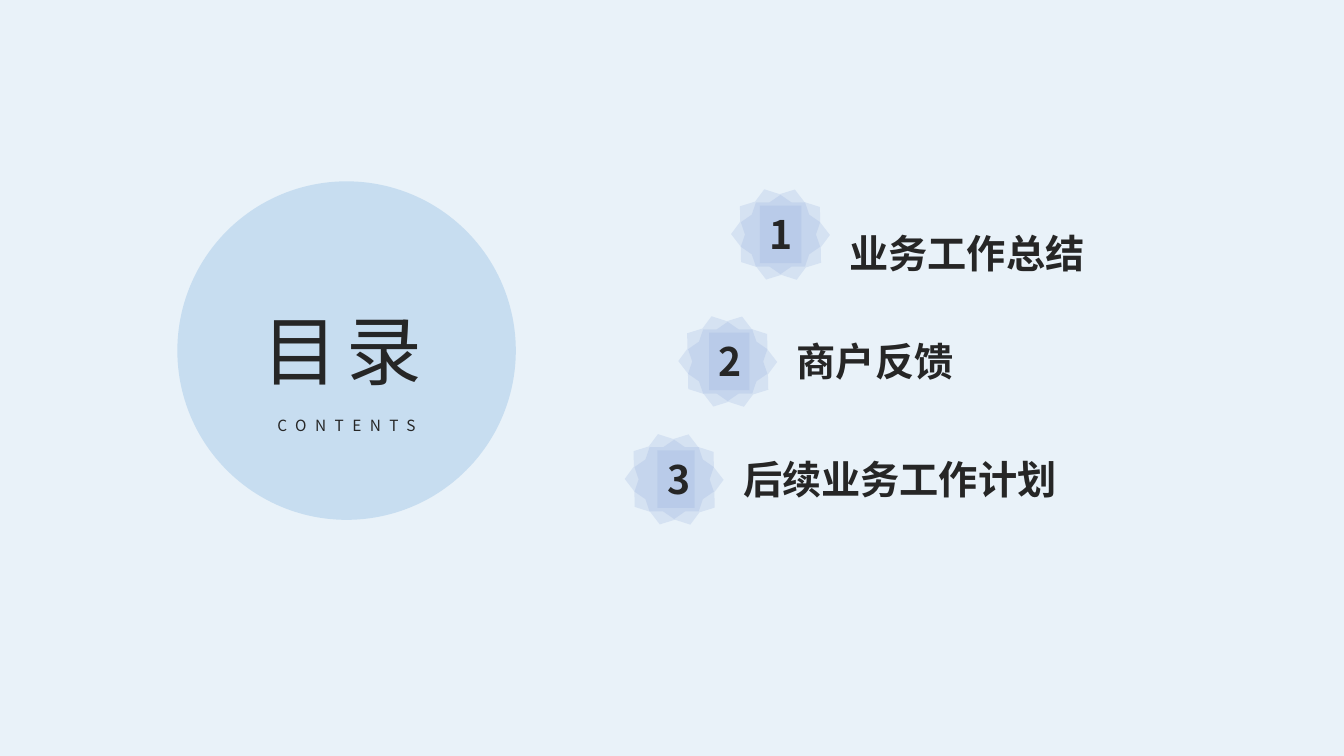
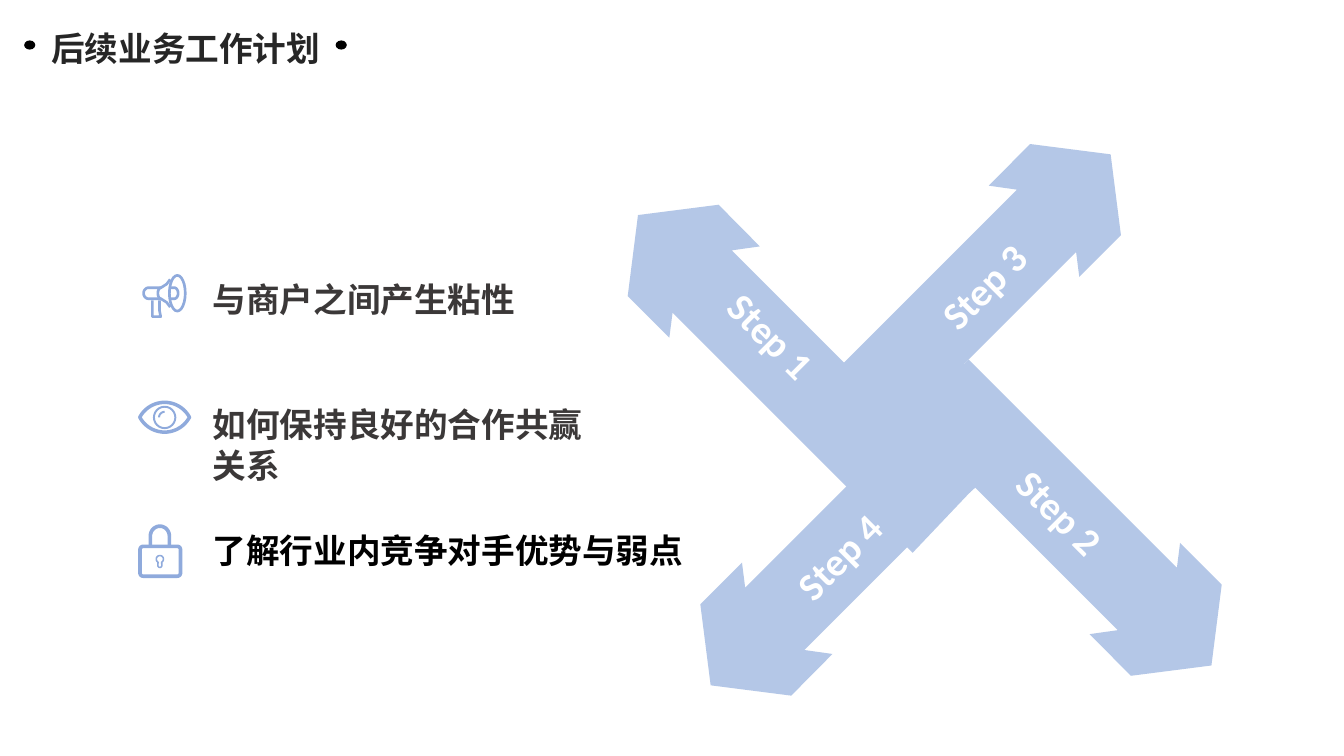
"""Build a contents slide and a four-step work plan slide."""
import math
from dataclasses import dataclass
from typing import NamedTuple

from lxml import etree
from pptx import Presentation
from pptx import util as u
from pptx.dml.color import RGBColor
from pptx.enum import shapes, text
from pptx.oxml.ns import qn

SKY = RGBColor(0x5B, 0x9B, 0xD5)
PERIWINKLE = RGBColor(0x8F, 0xAA, 0xDC)
ARROW_BLUE = RGBColor(0xB4, 0xC7, 0xE7)
INK = RGBColor(0x26, 0x26, 0x26)
BODY_INK = RGBColor(0x3B, 0x38, 0x38)
BLACK = RGBColor(0, 0, 0)
WHITE = RGBColor(0xFF, 0xFF, 0xFF)
CJK_FONT = "Noto Sans CJK SC"
LATIN_FONT = "Calibri"
SLIDE_WIDTH, SLIDE_HEIGHT = 33.87, 19.05
STAR_SIZE, INNER_STAR_SIZE = 2.38, 2.0
LEFT, CENTER, RIGHT = text.PP_ALIGN.LEFT, text.PP_ALIGN.CENTER, text.PP_ALIGN.RIGHT

Point = tuple[float, float]


class Box(NamedTuple):
    left: float
    top: float
    width: float
    height: float


@dataclass(frozen=True)
class TextStyle:
    size: float
    color: RGBColor = INK
    bold: bool = True
    font: str = CJK_FONT
    align: text.PP_ALIGN = LEFT
    tracking: int = 0
    leading: float = 1.2


@dataclass(frozen=True)
class Entry:
    title: str
    left: float
    top: float
    number_left: float
    number_width: float
    title_drop: float


@dataclass(frozen=True)
class Step:
    label: str
    corner: Point
    flip: tuple[int, int]
    shaft: float
    label_at: Point


class Stroke(NamedTuple):
    points: list[Point]
    width: float
    closed: bool = False


class Task(NamedTuple):
    title: str
    box: Box
    color: RGBColor = BODY_INK
    wrap: bool = True


HEADING = TextStyle(28)
ENTRIES = [
    Entry("业务工作总结", 18.48, 4.72, 0.67, 1.05, 0.94),
    Entry("商户反馈", 17.15, 7.92, 0.72, 1.02, 0.46),
    Entry("后续业务工作计划", 15.8, 10.89, 0.77, 0.94, 0.46),
]
STEPS = [
    Step("Step 1", (16.08, 5.42), (1, 1), 6.05, (15.57, 6.76)),
    Step("Step 2", (30.53, 16.77), (-1, -1), 5.25, (24.79, 13.16)),
    Step("Step 3", (27.99, 3.89), (-1, 1), 4.46, (22.86, 5.51)),
    Step("Step 4", (17.91, 17.27), (1, -1), 4.28, (17.27, 14.27)),
]
HUB_TILES = [
    [(21.59, 8.86), (23.11, 10.41), (21.54, 12.17), (19.96, 10.57)],
    [(21.31, 9.25), (23.16, 11.05), (24.66, 9.53), (22.81, 7.77)],
    [(24.43, 12.42), (22.91, 10.9), (24.5, 9.22), (26.19, 10.87)],
]
TASKS = [
    Task("与商户之间产生粘性", Box(5.11, 6.91, 9.98, 1.35)),
    Task("如何保持良好的合作共赢关系", Box(5.11, 10.06, 9.98, 2.36)),
    Task("了解行业内竞争对手优势与弱点", Box(5.11, 13.22, 12.37, 1.35), BLACK, False),
]


def arc(center: Point, radii: Point, start: float, end: float) -> list[Point]:
    """Sample an elliptical arc between two angles in degrees."""
    angles = [math.radians(start + (end - start) * i / 24) for i in range(25)]
    return [(center[0] + radii[0] * math.cos(a), center[1] + radii[1] * math.sin(a))
            for a in angles]


def rounded(box: Box, radius: float) -> list[Point]:
    """Sample the outline of a rounded rectangle."""
    left, top = box.left + radius, box.top + radius
    right, bottom = box.left + box.width - radius, box.top + box.height - radius
    centers = [(left, top), (right, top), (right, bottom), (left, bottom)]
    return [point for i, center in enumerate(centers)
            for point in arc(center, (radius, radius), 180 + 90 * i, 270 + 90 * i)]


MEGAPHONE = [
    Stroke(arc((4.47, 7.39), (0.2, 0.45), 0, 360), 1.9, True),
    Stroke([(4.29, 7.04), (4.2, 7.16), (4.06, 7.25),
            *arc((3.75, 7.39), (0.13, 0.14), 270, 90),
            (4.06, 7.53), (4.2, 7.62), (4.29, 7.74)], 1.9),
    Stroke(arc((4.06, 7.39), (0.08, 0.14), 270, 90), 1.9),
    Stroke([(4.29, 7.25), *arc((4.39, 7.39), (0.1, 0.14), -90, 90), (4.29, 7.53)], 1.9),
    Stroke([(3.84, 7.57), (3.84, 7.98), (4.05, 7.98), (4.02, 7.82), (4.02, 7.57)], 1.9),
]
EYE = [
    Stroke(arc((4.15, 10.85), (0.71, 0.71), 208, 332)
           + arc((4.15, 10.18), (0.71, 0.71), 28, 152), 2.5, True),
    Stroke(arc((4.15, 10.52), (0.27, 0.27), 0, 360), 1.4, True),
    Stroke(arc((4.15, 10.52), (0.14, 0.14), 180, 270), 1.4),
]
LOCK = [
    Stroke(rounded(Box(3.53, 13.77, 1.02, 0.75), 0.08), 2.6, True),
    Stroke([(3.79, 13.77), *arc((4.03, 13.51), (0.24, 0.25), 180, 360), (4.27, 13.77)], 2.6),
    Stroke(arc((4.03, 14.09), (0.09, 0.09), 120, 420)
           + arc((4.03, 14.25), (0.05, 0.05), 0, 180), 1.1, True),
]


def place(box: Box) -> tuple[u.Length, ...]:
    """Convert a box in centimetres to slide lengths."""
    return tuple(u.Cm(value) for value in box)


def paint(shape, color: RGBColor, opacity: int = 100) -> None:
    """Give a shape a flat fill without line or shadow."""
    shape.shadow.inherit = False
    shape.fill.solid()
    shape.fill.fore_color.rgb = color
    shape.line.fill.background()
    if opacity < 100:
        rgb = shape.element.spPr.find(qn("a:solidFill"))[0]
        etree.SubElement(rgb, qn("a:alpha"), val=str(opacity * 1000))


def add_preset(slide, kind: shapes.MSO_SHAPE, box: Box, color: RGBColor, opacity: int = 100):
    """Add a flat preset shape."""
    shape = slide.shapes.add_shape(kind, *place(box))
    paint(shape, color, opacity)
    return shape


def add_outline(slide, points: list[Point], closed: bool):
    """Add a freeform through points given in centimetres."""
    start, *rest = [(u.Cm(x), u.Cm(y)) for x, y in points]
    builder = slide.shapes.build_freeform(*start, scale=1.0)
    builder.add_line_segments(rest, close=closed)
    shape = builder.convert_to_shape()
    shape.shadow.inherit = False
    return shape


def write(shape, words: str, style: TextStyle, wrap: bool = True) -> None:
    """Write one styled run into a shape."""
    frame = shape.text_frame
    frame.word_wrap = wrap
    frame.vertical_anchor = text.MSO_ANCHOR.TOP
    paragraph = frame.paragraphs[0]
    paragraph.alignment = style.align
    paragraph.line_spacing = u.Pt(style.size * style.leading)
    run = paragraph.add_run()
    run.text = words
    run.font.size = u.Pt(style.size)
    run.font.bold = style.bold
    run.font.color.rgb = style.color
    run.font.name = style.font
    properties = run.font._element
    etree.SubElement(properties, qn("a:ea"), typeface=style.font)
    if style.tracking:
        properties.set("spc", str(style.tracking * 100))


def add_text(slide, box: Box, words: str, style: TextStyle, wrap: bool = True):
    """Add a text box."""
    shape = slide.shapes.add_textbox(*place(box))
    write(shape, words, style, wrap)
    return shape


def add_entry(slide, number: int, entry: Entry) -> None:
    """Draw a numbered star badge and its title."""
    star = shapes.MSO_SHAPE.STAR_10_POINT
    outer = add_preset(slide, star, Box(entry.left, entry.top, STAR_SIZE, STAR_SIZE),
                       PERIWINKLE, 22)
    outer.rotation = 17.7
    inset = (STAR_SIZE - INNER_STAR_SIZE) / 2
    add_preset(slide, star, Box(entry.left + inset, entry.top + inset,
                                INNER_STAR_SIZE, INNER_STAR_SIZE), PERIWINKLE, 22)
    plate = add_preset(slide, shapes.MSO_SHAPE.RECTANGLE,
                       Box(entry.left + entry.number_left, entry.top + 0.46,
                           entry.number_width, 1.45), PERIWINKLE, 22)
    write(plate, str(number), HEADING)
    add_text(slide, Box(entry.left + 2.68, entry.top + entry.title_drop, 10.62, 1.52),
             entry.title, HEADING)


def add_arrow(slide, step: Step) -> None:
    """Draw one diagonal arrow, mirrored by its flip signs."""
    end = step.shaft
    offsets = [(0, 0), (2.03, -0.26), (3.07, 0.79), (2.36, 0.89),
               (2.36 + end, 0.89 + end), (0.87 + end, 2.46 + end),
               (0.87, 2.46), (0.79, 3.09), (-0.26, 2.04)]
    points = [(step.corner[0] + step.flip[0] * x, step.corner[1] + step.flip[1] * y)
              for x, y in offsets]
    paint(add_outline(slide, points, True), ARROW_BLUE)


def add_step_label(slide, step: Step) -> None:
    """Write a step name along its arrow."""
    style = TextStyle(28, WHITE, font=LATIN_FONT, align=RIGHT if step.flip[0] > 0 else LEFT)
    label = add_text(slide, Box(*step.label_at, 5.79, 1.45), step.label, style)
    label.rotation = 45 if step.flip[0] == step.flip[1] else 315


def add_icon(slide, strokes: list[Stroke]) -> None:
    """Draw a line icon."""
    for stroke in strokes:
        shape = add_outline(slide, stroke.points, stroke.closed)
        shape.fill.background()
        shape.line.color.rgb = PERIWINKLE
        shape.line.width = u.Pt(stroke.width)


def build_contents(slide) -> None:
    """Draw the contents slide."""
    add_preset(slide, shapes.MSO_SHAPE.RECTANGLE, Box(0, 0, SLIDE_WIDTH, SLIDE_HEIGHT), SKY, 13)
    add_preset(slide, shapes.MSO_SHAPE.OVAL, Box(4.47, 4.57, 8.53, 8.53), SKY, 24)
    add_text(slide, Box(6.1, 7.54, 5.05, 2.64), "目录",
             TextStyle(54, bold=False, align=CENTER, tracking=6))
    add_text(slide, Box(6.5, 10.21, 4.47, 0.81), "CONTENTS",
             TextStyle(11, bold=False, align=CENTER, tracking=6, leading=1.56))
    for number, entry in enumerate(ENTRIES, 1):
        add_entry(slide, number, entry)


def build_plan(slide) -> None:
    """Draw the work plan slide."""
    for left in (0.61, 8.46):
        add_preset(slide, shapes.MSO_SHAPE.OVAL, Box(left, 1.02, 0.28, 0.23), BLACK)
    add_text(slide, Box(0.92, 0.58, 7.52, 1.35), ENTRIES[-1].title, TextStyle(24, align=CENTER))
    for step in STEPS:
        add_arrow(slide, step)
    for tile in HUB_TILES:
        paint(add_outline(slide, tile, True), ARROW_BLUE)
    add_preset(slide, shapes.MSO_SHAPE.RECTANGLE, Box(22.4, 11.28, 1.3, 1.3), ARROW_BLUE)
    for step in STEPS:
        add_step_label(slide, step)
    for icon in (MEGAPHONE, EYE, LOCK):
        add_icon(slide, icon)
    for task in TASKS:
        add_text(slide, task.box, task.title, TextStyle(24, task.color), task.wrap)


def main() -> None:
    """Build and save the presentation."""
    presentation = Presentation()
    presentation.slide_width = u.Cm(SLIDE_WIDTH)
    presentation.slide_height = u.Cm(SLIDE_HEIGHT)
    for build in (build_contents, build_plan):
        build(presentation.slides.add_slide(presentation.slide_layouts[6]))
    presentation.save("out.pptx")


if __name__ == "__main__":
    main()
